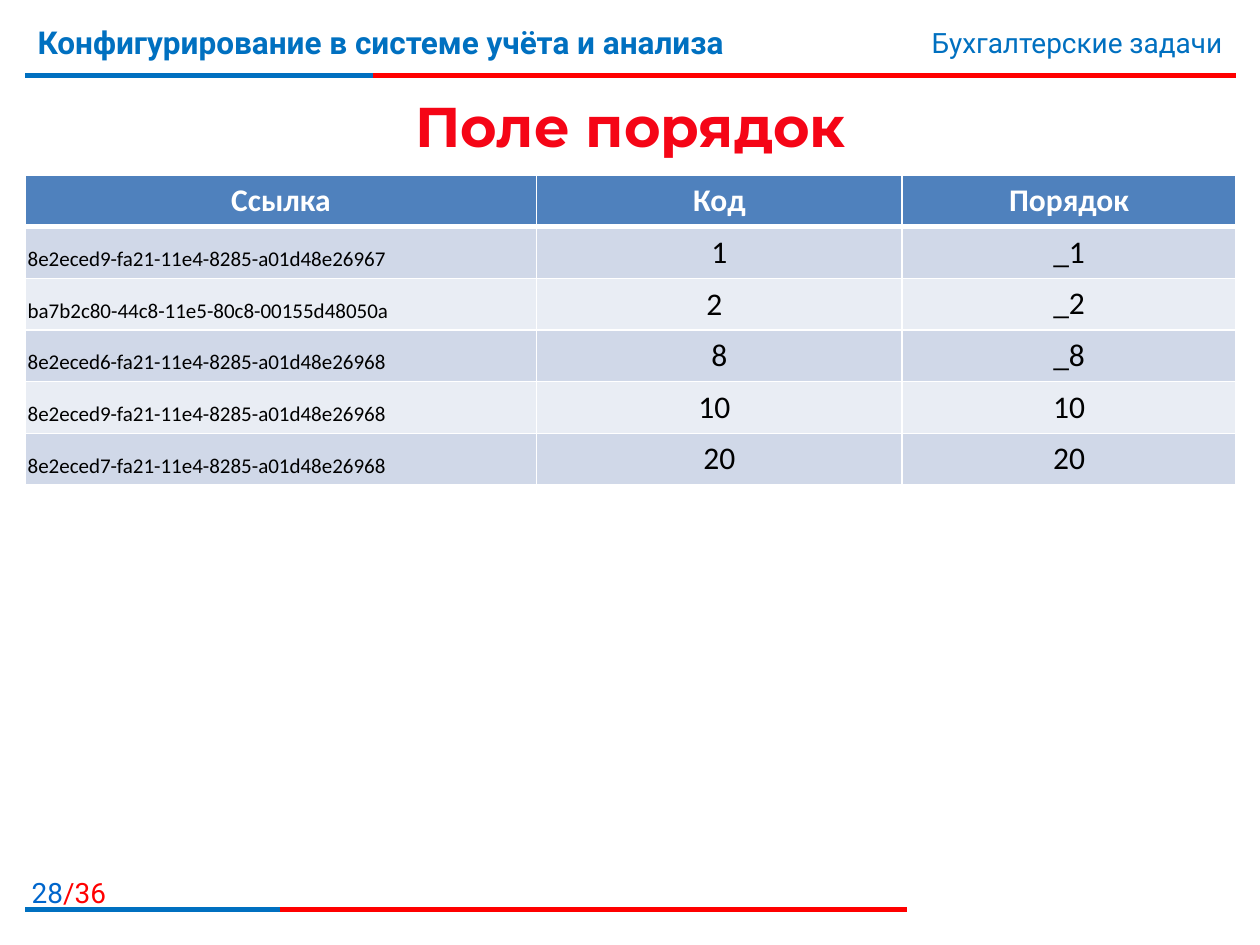
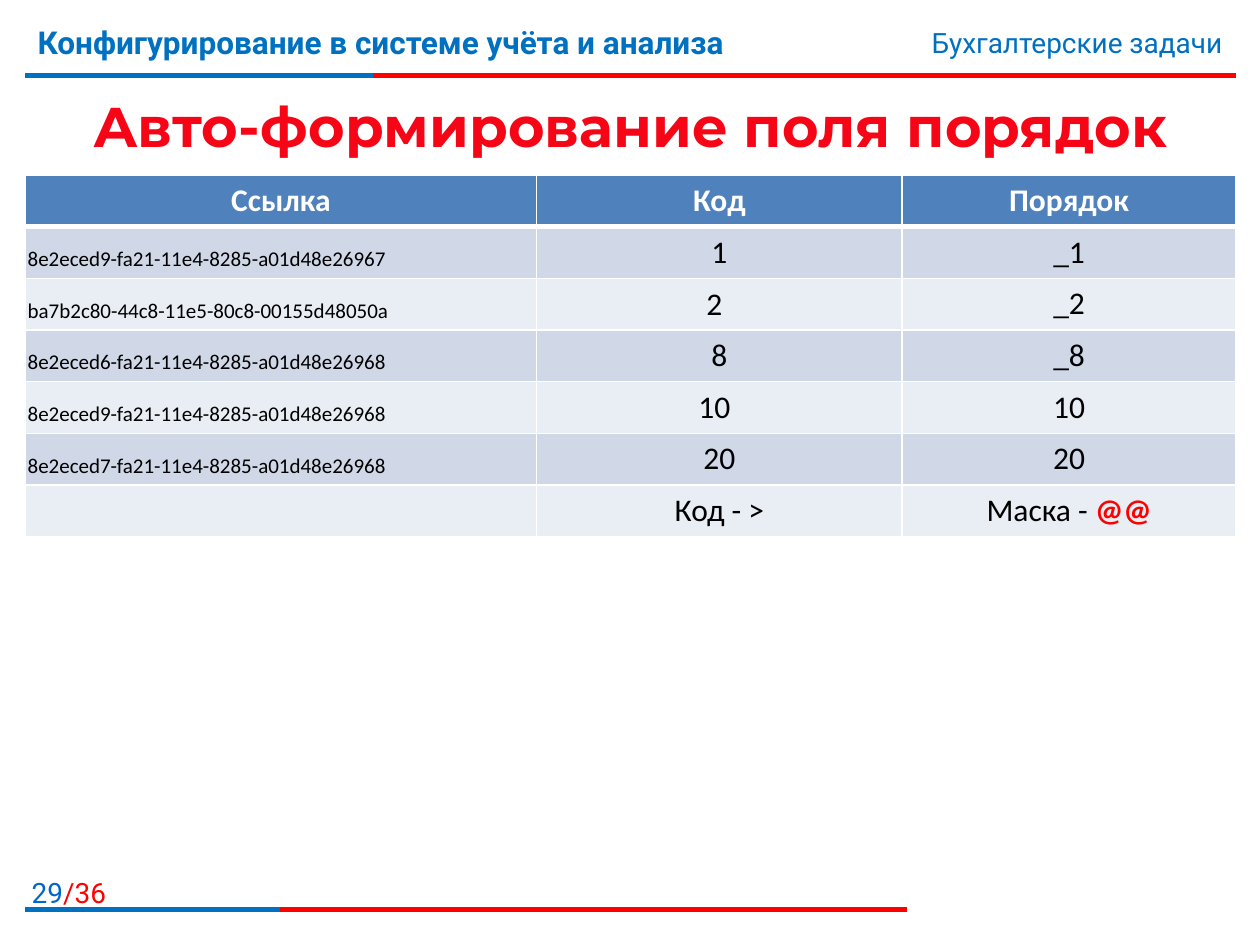
from lxml.etree import SubElement
from pptx import Presentation
from pptx.dml.color import RGBColor
from pptx.enum.shapes import MSO_CONNECTOR
from pptx.enum.text import MSO_ANCHOR, PP_ALIGN
from pptx.oxml.ns import qn
from pptx.util import Inches, Pt

COLORS = {
    "blue": "0070C0",
    "page_blue": "0066CC",
    "red": "FF0000",
    "title_red": "F50516",
    "header": "4F81BD",
    "odd_row": "D0D8E8",
    "even_row": "E9EDF4",
    "white": "FFFFFF",
    "black": "000000",
}
COURSE = "Конфигурирование в системе учёта и анализа"
SECTION = "Бухгалтерские задачи"
PAGE_COUNT = 36
LEFT, WIDTH = 0.2, 9.61
TITLE_TOP, TABLE_TOP = 0.6, 1.39
ROW_HEIGHT = 0.41
COLUMN_WIDTHS = (4.06, 2.9, 2.65)

HEADINGS = ("Ссылка", "Код", "Порядок")
ROWS = [
    ("8e2eced9-fa21-11e4-8285-a01d48e26967", "1", "_1"),
    ("ba7b2c80-44c8-11e5-80c8-00155d48050a", "2", "_2"),
    ("8e2eced6-fa21-11e4-8285-a01d48e26968", "8", "_8"),
    ("8e2eced9-fa21-11e4-8285-a01d48e26968", "10", "10"),
    ("8e2eced7-fa21-11e4-8285-a01d48e26968", "20", "20"),
]
MASK_ROW = ("", "Код - >", "Маска - ")
MASK = "@@"


def color(name):
    return RGBColor.from_string(COLORS[name])


def add_text(paragraph, text, size=18, font="Calibri", fill="black",
             bold=False, align=PP_ALIGN.LEFT):
    """Append one formatted run to a paragraph."""
    paragraph.alignment = align
    run = paragraph.add_run()
    run.text = text
    run.font.size = Pt(size)
    run.font.name = font
    run.font.bold = bold
    run.font.color.rgb = color(fill)


def add_text_box(slide, left, top, width, height):
    """Add a wrapping text box and return its first paragraph."""
    box = slide.shapes.add_textbox(Inches(left), Inches(top),
                                   Inches(width), Inches(height))
    box.text_frame.word_wrap = True
    return box.text_frame.paragraphs[0]


def add_rule(slide, top, red_end, blue_end):
    """Draw a red line with a blue line over its left part."""
    for end, name in ((red_end, "red"), (blue_end, "blue")):
        line = slide.shapes.add_connector(
            MSO_CONNECTOR.STRAIGHT, Inches(LEFT), Inches(top),
            Inches(end), Inches(top))
        line.line.color.rgb = color(name)
        line.line.width = Pt(3)
        SubElement(line._element.spPr, qn("a:effectLst"))


def add_frame(slide, page):
    """Header and footer shared by all slides."""
    add_rule(slide, 0.6, LEFT + WIDTH, 2.96)
    add_rule(slide, 7.22, 7.2, 2.22)
    add_text(add_text_box(slide, LEFT, 0.13, 7.4, 0.62), COURSE,
             font="Roboto", fill="blue", bold=True)
    add_text(add_text_box(slide, 5.94, 0.15, 3.86, 0.37), SECTION, size=16,
             font="Roboto", fill="blue", align=PP_ALIGN.RIGHT)
    number = add_text_box(slide, 0, 6.9, 0.94, 0.32)
    for text, name in ((str(page), "page_blue"), (f"/{PAGE_COUNT}", "red")):
        add_text(number, text, size=16, font="Roboto", fill=name,
                 align=PP_ALIGN.RIGHT)


def set_title(slide, text):
    title = slide.shapes.title
    title.left, title.top = Inches(LEFT), Inches(TITLE_TOP)
    title.width, title.height = Inches(WIDTH), Inches(TABLE_TOP - TITLE_TOP)
    title.text_frame.vertical_anchor = MSO_ANCHOR.MIDDLE
    add_text(title.text_frame.paragraphs[0], text, size=32, font="Montserrat",
             fill="title_red", bold=True, align=PP_ALIGN.CENTER)


def format_cell(cell, fill, bottom_width=1):
    """Give a cell white borders and a solid fill."""
    properties = cell._tc.get_or_add_tcPr()
    for side in ("L", "R", "T", "B"):
        width = Pt(bottom_width if side == "B" else 1)
        border = SubElement(properties, qn(f"a:ln{side}"), w=str(width))
        solid = SubElement(border, qn("a:solidFill"))
        SubElement(solid, qn("a:srgbClr"), val=COLORS["white"])
    cell.fill.solid()
    cell.fill.fore_color.rgb = color(fill)


def anchor_low(cell):
    """Set text at the bottom of a cell, close to its left edge."""
    cell.vertical_anchor = MSO_ANCHOR.BOTTOM
    cell.margin_left = Inches(0.02)


def add_order_table(slide, rows):
    table = slide.shapes.add_table(
        len(rows) + 1, len(HEADINGS), Inches(LEFT), Inches(TABLE_TOP),
        Inches(WIDTH), Inches(ROW_HEIGHT * (len(rows) + 1))).table
    for column, width in zip(table.columns, COLUMN_WIDTHS):
        column.width = Inches(width)

    # Header row
    for cell, heading in zip(table.rows[0].cells, HEADINGS):
        format_cell(cell, "header", bottom_width=3)
        add_text(cell.text_frame.paragraphs[0], heading, fill="white",
                 bold=True, align=PP_ALIGN.CENTER)

    # Banded body rows
    for row_index, values in enumerate(rows, start=1):
        for column_index, text in enumerate(values):
            cell = table.cell(row_index, column_index)
            format_cell(cell, "odd_row" if row_index % 2 else "even_row")
            if not text:
                continue
            is_link = column_index == 0
            if is_link or (column_index == 1 and text in ("2", "10")):
                anchor_low(cell)
            add_text(cell.text_frame.paragraphs[0], text,
                     size=12 if is_link else 18,
                     align=PP_ALIGN.LEFT if is_link else PP_ALIGN.CENTER)
    return table


def add_slide(presentation, page, title, rows):
    slide = presentation.slides.add_slide(presentation.slide_layouts[5])
    add_frame(slide, page)
    set_title(slide, title)
    return add_order_table(slide, rows)


def main():
    presentation = Presentation()
    presentation.slide_width = Inches(10)
    presentation.slide_height = Inches(7.5)

    add_slide(presentation, 28, "Поле порядок", ROWS)

    table = add_slide(presentation, 29, "Авто-формирование поля порядок",
                      ROWS + [MASK_ROW])
    mask_cell = table.cell(len(ROWS) + 1, 2)
    add_text(mask_cell.text_frame.paragraphs[0], MASK, fill="red", bold=True,
             align=PP_ALIGN.CENTER)

    presentation.save("out.pptx")


main()
